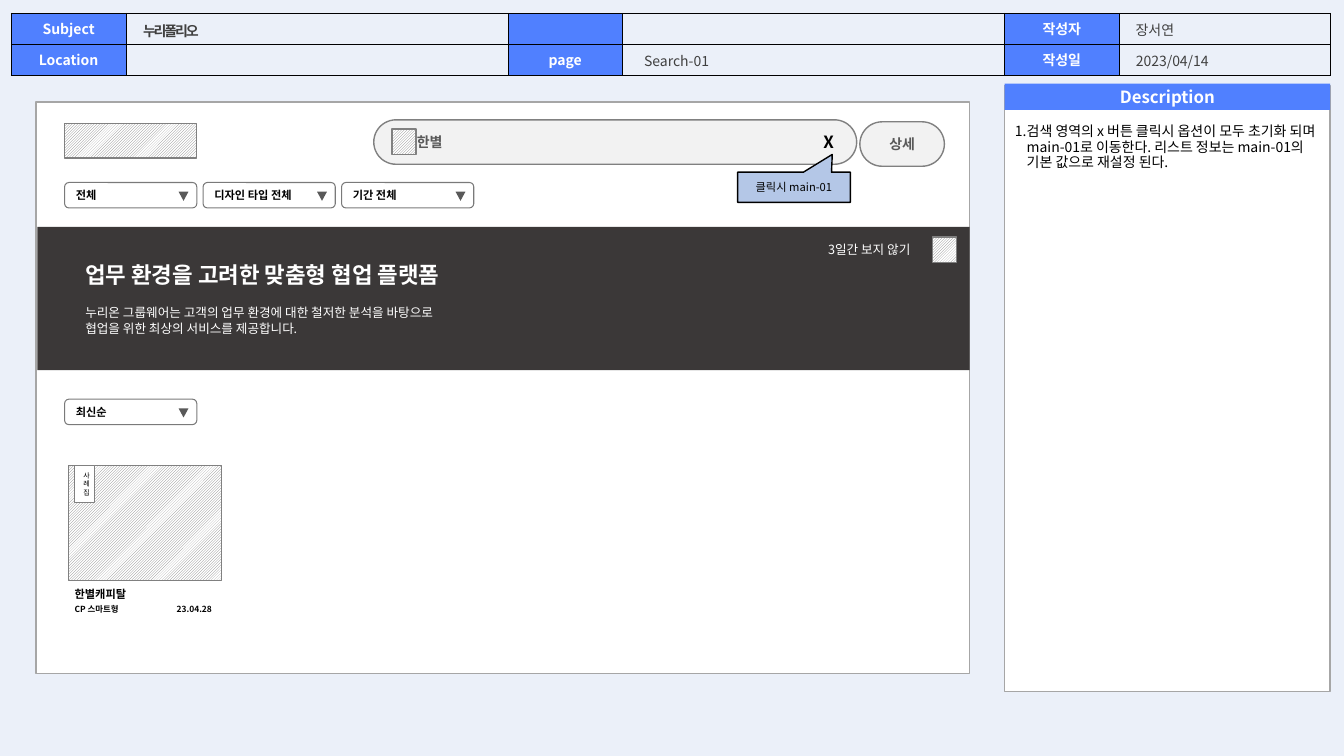
from dataclasses import dataclass

from lxml import etree
from pptx import Presentation
from pptx.dml.color import RGBColor
from pptx.enum.dml import MSO_PATTERN
from pptx.enum.shapes import MSO_SHAPE
from pptx.enum.text import MSO_ANCHOR, MSO_AUTO_SIZE, PP_ALIGN
from pptx.oxml.ns import qn
from pptx.util import Cm, Pt

RECT, ROUND = MSO_SHAPE.RECTANGLE, MSO_SHAPE.ROUNDED_RECTANGLE
ARROW, NOTE = MSO_SHAPE.ISOSCELES_TRIANGLE, MSO_SHAPE.RECTANGULAR_CALLOUT
TAG = MSO_SHAPE.ROUND_2_DIAG_RECTANGLE
HATCH = MSO_PATTERN.LIGHT_UPWARD_DIAGONAL
TOP, MID = MSO_ANCHOR.TOP, MSO_ANCHOR.MIDDLE
LEFT, MIDST, RIGHT = PP_ALIGN.LEFT, PP_ALIGN.CENTER, PP_ALIGN.RIGHT
FIXED = MSO_AUTO_SIZE.NONE


@dataclass(frozen=True)
class Theme:
    face: str = "Noto Sans CJK KR"
    back: str = "EBF0F9"
    blue: str = "5080FF"
    pale: str = "B4C7E7"
    dark: str = "3B3838"
    light: str = "F2F2F2"
    white: str = "FFFFFF"
    black: str = "000000"
    ink: str = "404040"
    mute: str = "595959"
    edge: str = "A6A6A6"
    gray: str = "808080"
    rim: str = "7A7A7A"
    mini: int = 5
    tiny: int = 6
    small: int = 8
    note: int = 9
    text: int = 10
    head: int = 12
    hero: int = 16


T = Theme()
rgb = RGBColor.from_string

deck = Presentation()
deck.slide_width, deck.slide_height = Cm(33.87), Cm(19.05)
slide = deck.slides.add_slide(deck.slide_layouts.get_by_name("Comparison"))
slide.background.fill.solid()
slide.background.fill.fore_color.rgb = rgb(T.back)


def put(kind, x, y, w, h, fill=None, line=None, width=1):
    """Add a preset shape; the fill HATCH gives the image stand-in pattern."""
    shape = slide.shapes.add_shape(kind, Cm(x), Cm(y), Cm(w), Cm(h))
    shape.shadow.inherit = False
    if fill is HATCH:
        shape.fill.patterned()
        shape.fill.pattern = HATCH
        shape.fill.fore_color.rgb = rgb(T.gray)
        shape.fill.back_color.rgb = rgb(T.white)
    elif fill:
        shape.fill.solid()
        shape.fill.fore_color.rgb = rgb(fill)
    else:
        shape.fill.background()
    if line:
        shape.line.color.rgb = rgb(line)
        shape.line.width = Pt(width)
    else:
        shape.line.fill.background()
    return shape


def write(frame, text, size, color, bold=False, align=LEFT, anchor=MID):
    frame.text = text
    frame.word_wrap = True
    frame.vertical_anchor = anchor
    for para in frame.paragraphs:
        para.alignment = align
        para.font.size = Pt(size)
        para.font.bold = bold
        para.font.color.rgb = rgb(color)
        para.font.name = T.face
        props = para._p.pPr.find(qn("a:defRPr"))
        etree.SubElement(props, qn("a:ea"), typeface=T.face)


# Page header
put(RECT, 25.32, 2.16, 8.2, 15.27, T.white, T.edge)
grid = slide.shapes.add_table(2, 6, Cm(0.28), Cm(0.33), Cm(33.22), Cm(1.55)).table
grid.first_row = grid.horz_banding = False
for col, w in zip(grid.columns, (2.9, 9.62, 2.89, 9.62, 2.9, 5.32)):
    col.width = Cm(w)
labels = (("Subject", "", "", "", "작성자", ""),
          ("Location", "", "page", "", "작성일", ""))
for r, row in enumerate(labels):
    grid.rows[r].height = Cm(0.78)
    for c, label in enumerate(row):
        cell = grid.cell(r, c)
        cell.margin_top = cell.margin_bottom = Cm(0.05)
        write(cell.text_frame, label, T.text, T.white, True, MIDST)
        cell.vertical_anchor = MID
        props = cell._tc.get_or_add_tcPr()
        for side in ("lnL", "lnR", "lnT", "lnB"):
            rule = etree.SubElement(props, qn("a:" + side), w=str(Pt(0.25)))
            paint = etree.SubElement(rule, qn("a:solidFill"))
            etree.SubElement(paint, qn("a:srgbClr"), val=T.black)
        if c % 2:
            cell.fill.background()
        else:
            cell.fill.solid()
            cell.fill.fore_color.rgb = rgb(T.blue)

bar = put(RECT, 25.32, 2.11, 8.2, 0.66, T.blue)
write(bar.text_frame, "Description", T.head, T.white, True, MIDST)

# Placeholders: project title, description list, date, page name
holders = {h.placeholder_format.idx: h for h in slide.placeholders}
spare = holders.pop(4)._element
spare.getparent().remove(spare)
fields = (
    (0, 3.35, 0.53, 6.99, 0.53, "누리폴리오", T.ink, MID),
    (1, 25.32, 3.02, 8.2, 14.4, "검색 영역의 x 버튼 클릭시 옵션이 모두 초기화 되며 main-01로 이동한다. "
     "리스트 정보는 main-01의 기본 값으로 재설정 된다.", T.black, TOP),
    (2, 28.37, 1.24, 4.19, 0.53, "2023/04/14", T.ink, TOP),
    (3, 15.98, 1.24, 4.19, 0.53, "Search-01", T.ink, TOP),
)
for idx, x, y, w, h, text, color, anchor in fields:
    box = holders[idx]
    box.left, box.top, box.width, box.height = Cm(x), Cm(y), Cm(w), Cm(h)
    frame = box.text_frame
    frame.auto_size = FIXED
    write(frame, text, T.text, color, idx == 0, LEFT, anchor)
    para = frame.paragraphs[0]
    para.line_spacing = 0.9
    para.space_before = Pt(0)
    props = para._p.pPr
    font = props.find(qn("a:defRPr"))
    hang = Cm(0.3) if idx == 1 else 0
    props.set("marL", str(hang))
    props.set("indent", str(-hang))
    if idx == 1:
        mark = etree.Element(qn("a:buAutoNum"), type="arabicPeriod")
    else:
        mark = etree.Element(qn("a:buNone"))
    font.addprevious(mark)
    if idx == 0:
        font.set("spc", "-150")
    box._element.getparent().append(box._element)

# Screen, logo stand-in and search row
put(RECT, 0.91, 2.57, 23.52, 14.4, T.white, T.edge)
put(RECT, 1.63, 3.12, 3.33, 0.86, HATCH, T.gray)
for x, y, w, text, align in ((9.42, 3.02, 12.17, "한별", LEFT),
                             (21.67, 3.07, 2.13, "상세", MIDST)):
    pill = put(ROUND, x, y, w, 1.12, T.light, T.gray)
    pill.adjustments[0] = 0.5
    write(pill.text_frame, text, T.text, T.mute, True, align)
    if align == LEFT:
        pill.text_frame.margin_left = Cm(0.92)
put(RECT, 9.88, 3.25, 0.61, 0.64, HATCH, T.gray)

# Drop-downs
for x, y, text in ((1.63, 4.6, "전체"), (5.12, 4.6, "디자인 타입 전체"),
                   (8.61, 4.6, "기간 전체"), (1.63, 10.06, "최신순")):
    drop = put(ROUND, x, y, 3.33, 0.64, None, T.rim, 0.75)
    write(drop.text_frame, text, T.small, T.black, True)
    put(ARROW, x + 2.87, y + 0.23, 0.25, 0.23, T.mute).rotation = 180

# Banner and result card
put(RECT, 0.94, 5.72, 23.5, 3.61, T.dark)
put(RECT, 23.5, 5.97, 0.61, 0.64, HATCH, T.gray)
put(RECT, 1.73, 11.73, 3.86, 2.9, HATCH, T.gray)
tag = put(TAG, 1.88, 11.73, 0.51, 0.94, T.white, T.gray)
tag.adjustments[0] = tag.adjustments[1] = 0
tag.text_frame.margin_left, tag.text_frame.margin_right = Cm(0.2), Cm(0.1)
write(tag.text_frame, "사례집", T.mini, T.black, False, MIDST)

# Free text
for x, y, w, h, text, size, color, bold, align in (
    (28.37, 0.41, 4.19, 0.69, "장서연", T.text, T.ink, False, LEFT),
    (1.9, 6.45, 12.62, 0.94, "업무 환경을 고려한 맞춤형 협업 플랫폼", T.hero, T.white, True, LEFT),
    (1.9, 7.57, 12.62, 1.02, "누리온 그룹웨어는 고객의 업무 환경에 대한 철저한 분석을 바탕으로\n"
     "협업을 위한 최상의 서비스를 제공합니다.", T.note, T.white, False, LEFT),
    (20.62, 5.97, 3.18, 0.64, "3일간 보지 않기", T.note, T.white, False, LEFT),
    (20.32, 3.2, 1.12, 0.76, "X", T.head, T.black, True, MIDST),
    (1.63, 14.68, 3.2, 0.61, "한별캐피탈", T.small, T.black, True, LEFT),
    (1.63, 15.11, 1.7, 0.51, "CP 스마트형", T.tiny, T.black, True, LEFT),
    (3.89, 15.11, 1.7, 0.51, "23.04.28", T.tiny, T.black, True, RIGHT),
):
    box = slide.shapes.add_textbox(Cm(x), Cm(y), Cm(w), Cm(h))
    write(box.text_frame, text, size, color, bold, align, TOP)

call = put(NOTE, 18.59, 4.34, 2.84, 0.76, T.pale, T.black)
call.adjustments[0], call.adjustments[1] = 0.34, -1.09
write(call.text_frame, "클릭시 main-01", T.small, T.black, False, MIDST)

deck.save("out.pptx")
